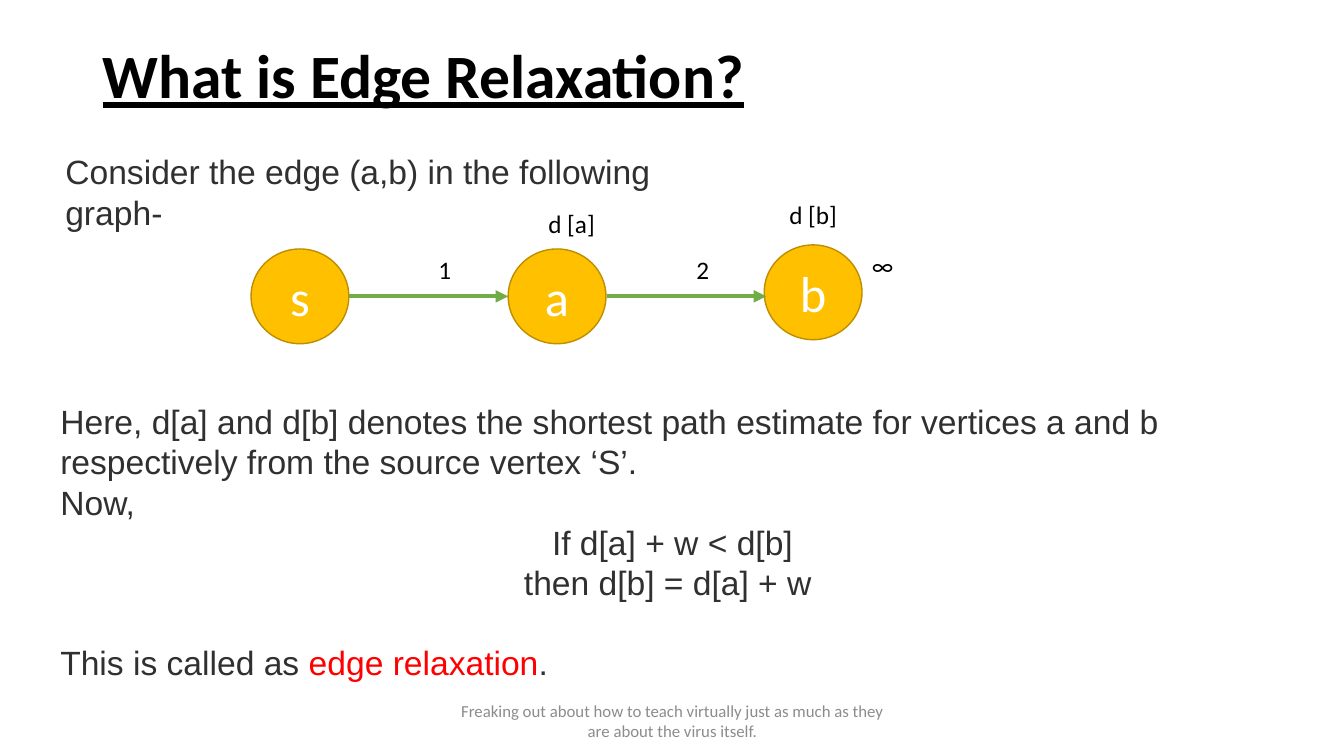
import pptx
import pptx.util
import pptx.dml.color
import pptx.enum.shapes
import pptx.enum.text
import lxml.etree

Inches, Pt = pptx.util.Inches, pptx.util.Pt
ALIGN, ANCHOR = pptx.enum.text.PP_ALIGN, pptx.enum.text.MSO_ANCHOR
RGB = pptx.dml.color.RGBColor.from_string

theme = {
    "heading": "Calibri", "body": "Arial",
    "black": RGB("000000"), "grey": RGB("8C8C8C"), "text": RGB("303030"),
    "white": RGB("FFFFFF"), "accent": RGB("FF0000"), "node": RGB("FFC000"),
    "outline": RGB("BD8E00"), "edge": RGB("70AD47"),
    "title_size": 44, "node_size": 36, "body_size": 24, "label_size": 18, "footer_size": 12,
}


def add_run(p, text, size, font, color):
    r = p.add_run()
    r.text = text
    r.font.size = Pt(theme[size])
    r.font.name = theme[font]
    r.font.color.rgb = theme[color]
    return r


def add_box(left, top, width, height, wrap=True, anchor=ANCHOR.TOP):
    box = s.shapes.add_textbox(Inches(left), Inches(top), Inches(width), Inches(height))
    tf = box.text_frame
    tf.word_wrap = wrap
    tf.vertical_anchor = anchor
    return tf


prs = pptx.Presentation()
prs.slide_width, prs.slide_height = Inches(13.33), Inches(7.5)
s = prs.slides.add_slide(prs.slide_layouts[6])

p = add_box(0.92, 0.4, 11.5, 1.45).paragraphs[0]
p.line_spacing = 0.9
r = add_run(p, "What is Edge Relaxation?", "title_size", "heading", "black")
r.font.bold = r.font.underline = True

p = add_box(4.42, 6.95, 4.5, 0.4, anchor=ANCHOR.MIDDLE).paragraphs[0]
p.alignment = ALIGN.CENTER
add_run(p, "Freaking out about how to teach virtually just as much as they are about the virus itself.",
        "footer_size", "heading", "grey")

for name, left, top in [("s", 2.49, 2.47), ("a", 5.04, 2.47), ("b", 7.58, 2.43)]:
    sp = s.shapes.add_shape(pptx.enum.shapes.MSO_SHAPE.OVAL,
                            Inches(left), Inches(top), Inches(0.97), Inches(0.94))
    sp.shadow.inherit = False
    sp.fill.solid()
    sp.fill.fore_color.rgb = theme["node"]
    sp.line.color.rgb = theme["outline"]
    sp.line.width = Pt(1)
    tf = sp.text_frame
    tf.vertical_anchor = ANCHOR.MIDDLE
    p = tf.paragraphs[0]
    p.alignment = ALIGN.CENTER
    add_run(p, name, "node_size", "heading", "white")

for start in (3.46, 6.02):
    edge = s.shapes.add_connector(pptx.enum.shapes.MSO_CONNECTOR.STRAIGHT,
                                  Inches(start), Inches(2.94), Inches(start + 1.58), Inches(2.94))
    edge.line.color.rgb = theme["edge"]
    edge.line.width = Pt(3)
    ns = pptx.oxml.ns.qn
    lxml.etree.SubElement(edge.line._get_or_add_ln(), ns("a:tailEnd"), type="triangle")
    lxml.etree.SubElement(edge._element.spPr, ns("a:effectLst"))

for label, left, top, width in [("1", 4.25, 2.47, 0.33), ("2", 6.81, 2.47, 0.33),
                                ("∞", 8.55, 2.43, 0.42), ("d [a]", 5.34, 2.02, 0.67),
                                ("d [b]", 7.73, 1.93, 0.68)]:
    p = add_box(left, top, width, 0.4, wrap=False).paragraphs[0]
    add_run(p, label, "label_size", "heading", "black")

p = add_box(0.55, 1.45, 6.54, 0.5).paragraphs[0]
add_run(p, "Consider the edge (a,b) in the following graph-", "body_size", "body", "text")

tf = add_box(0.5, 3.93, 12.34, 2.93)
explanation = [
    (ALIGN.LEFT, 0, [("Here, d[a] and d[b] denotes the shortest path estimate for vertices a and b "
                      "respectively from the source vertex ‘S’.", "text")]),
    (ALIGN.LEFT, 0, [("Now,", "text")]),
    (ALIGN.CENTER, 0, [("If d[a] + w < d[b]", "text")]),
    (ALIGN.CENTER, 0, [("then d[b] = d[a] + w ", "text")]),
    (ALIGN.LEFT, 28, [("This is called as ", "text"), ("edge relaxation", "accent"), (".", "text")]),
]
for i, (alignment, gap, runs) in enumerate(explanation):
    p = tf.add_paragraph() if i else tf.paragraphs[0]
    p.alignment = alignment
    p.space_before = Pt(gap)
    for text, color in runs:
        add_run(p, text, "body_size", "body", color)

prs.save("out.pptx")
